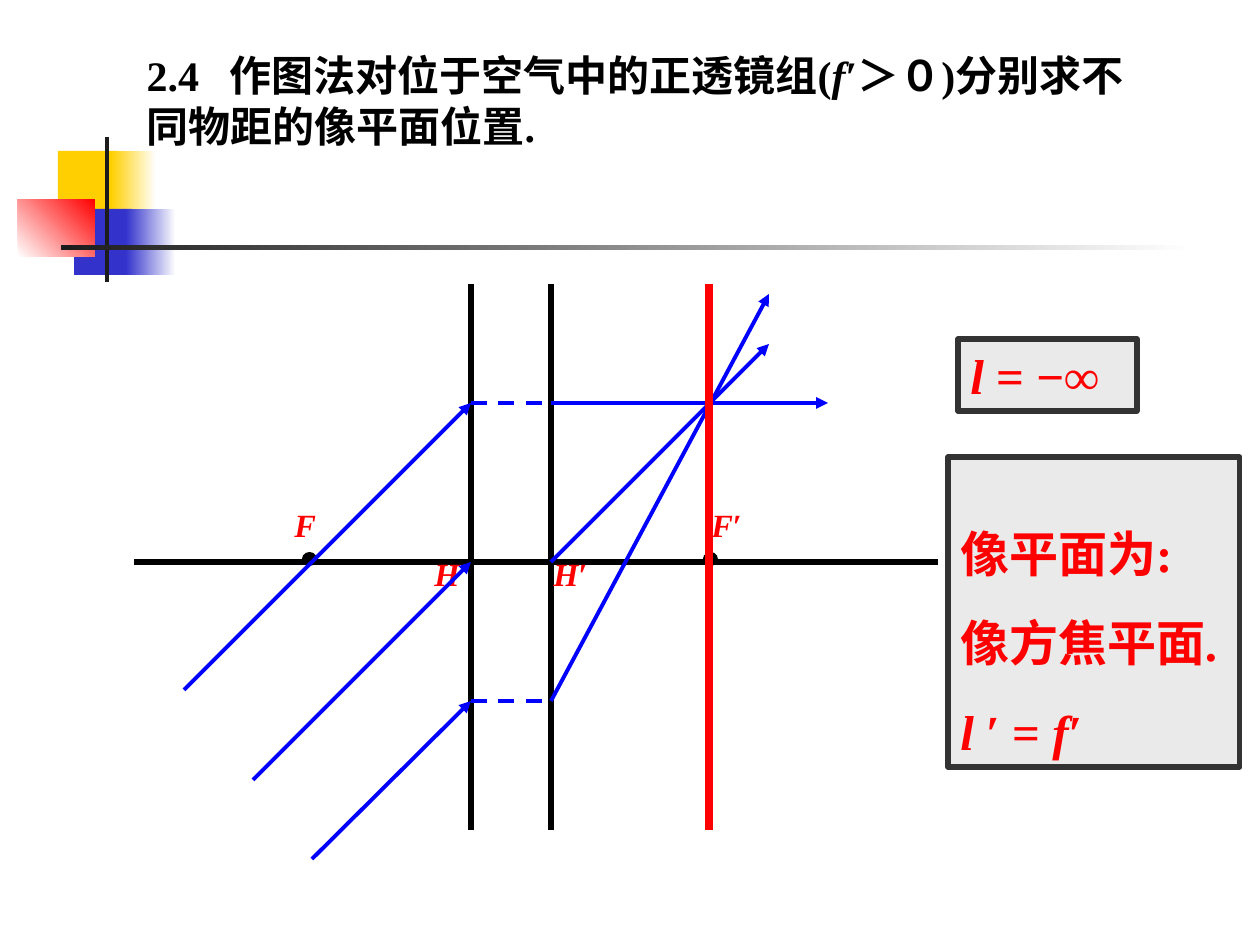
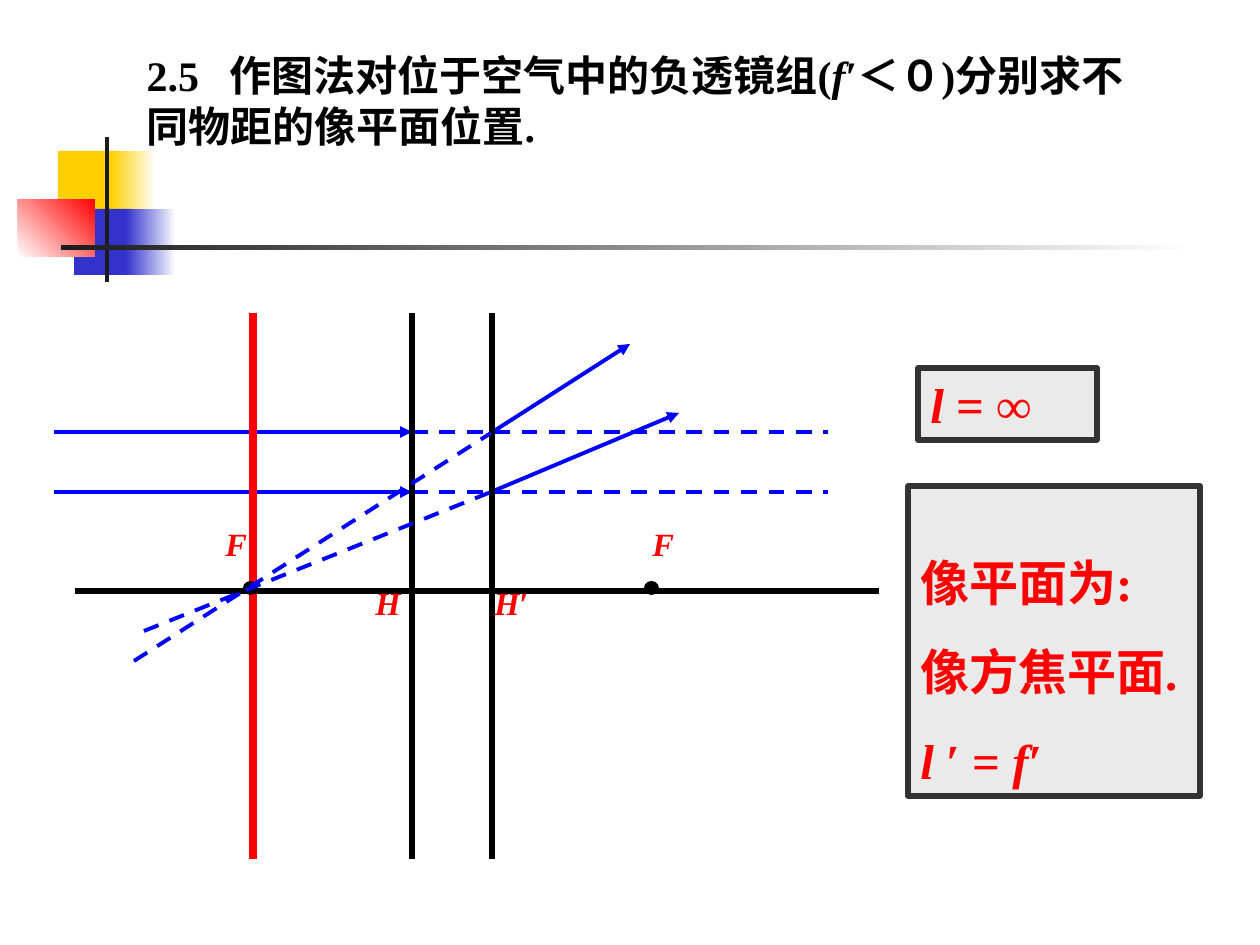
from lxml.etree import SubElement
from pptx import Presentation
from pptx.dml.color import RGBColor
from pptx.enum.dml import MSO_LINE
from pptx.enum.shapes import MSO_CONNECTOR, MSO_SHAPE
from pptx.enum.text import MSO_ANCHOR, MSO_AUTO_SIZE, PP_ALIGN
from pptx.oxml.ns import qn
from pptx.util import Emu, Inches, Pt

FONT = "Times New Roman"
BLACK, WHITE, RED, BLUE = "000000", "FFFFFF", "FF0000", "0000FF"
GOLD, INDIGO, INK = "FFCF01", "3333CC", "1C1C1C"
PANEL, PANEL_EDGE = "EAEAEA", "333333"

# left, top, width, height, colours (two make a gradient), gradient angle
DECORATION = [
    (58, 151, 60, 66, (GOLD,), 0),
    (111, 151, 45, 66, (GOLD, WHITE), 0),
    (74, 209, 58, 66, (INDIGO,), 0),
    (126, 209, 50, 66, (INDIGO, WHITE), 0),
    (18, 199, 77, 58, (WHITE, RED), 45),
    (105, 137, 4, 145, (INK,), 0),
    (61, 245, 1134, 5, (INK, WHITE), 0),
]
TITLE_AREA = (134, 44, 1022, 113)
TITLE_TAB = 83

# Lens system; each slide shifts it by its "lens shift"
AXIS_Y, AXIS_ENDS = 562, (134, 938)
PRINCIPAL_PLANES, PLANE_ENDS = (471, 551), (284, 830)
FOCI, FOCUS_TOP, FOCUS_SIZE = (302, 703), 552, (15, 14)
PLANE_LABELS = [([("H", True)], 422, 552, 32),
                ([("H", True), ("′", False)], 541, 552, 97)]
LABEL_HEIGHT = 54

OBJECT_PANEL = (958, 339, 179, 72)
IMAGE_PANEL = (948, 457, 292, 310)

# Text is a list of (words, italic) runs
IMAGE_TEXT = [
    [("像平面为:", False)],
    [("像方焦平面.", False)],
    [("l ", True), ("′ = ", False), ("f", True), ("′", False)],
]
SOLID, DASHED = "solid", "dashed"
SLIDES = [
    {
        "title": [("2.4\t作图法对位于空气中的正透镜组(", False), ("f", True),
                  ("′＞０)分别求不同物距的像平面位置.", False)],
        "object": [("l ", True), ("= −∞", False)],
        "lens shift": (0, 0),
        "panel shift": (0, 0),
        "focus labels": [([("F", True)], 282, 503, 32),
                         ([("F", True), ("′", False)], 699, 503, 120)],
        "focal plane": 709,
        "rays": [
            (SOLID, 184, 690, 471, 403),
            (SOLID, 253, 780, 471, 562),
            (SOLID, 312, 859, 471, 701),
            (DASHED, 471, 701, 551, 701),
            (DASHED, 471, 403, 551, 403),
            (SOLID, 551, 403, 828, 403),
            (SOLID, 551, 562, 769, 344),
            (SOLID, 551, 701, 769, 294),
        ],
        "virtual rays": [],
        "order": ("lens", "rays", "focal plane"),
    },
    {
        "title": [("2.5\t作图法对位于空气中的负透镜组(", False), ("f", True),
                  ("′＜０)分别求不同物距的像平面位置.", False)],
        "object": [("l ", True), ("= ∞", False)],
        "lens shift": (-59, 29),
        "panel shift": (-40, 29),
        "focus labels": [([("F", True)], 640, 522, 32),
                         ([("F", True), ("′", False)], 213, 522, 120)],
        "focal plane": 253,
        "rays": [
            (SOLID, 54, 432, 412, 432),
            (SOLID, 54, 492, 412, 492),
            (DASHED, 412, 432, 828, 432),
            (DASHED, 412, 492, 828, 492),
            (SOLID, 491, 433, 630, 344),
            (SOLID, 491, 492, 679, 413),
        ],
        "virtual rays": [
            (DASHED, 134, 661, 491, 433),
            (DASHED, 144, 631, 491, 492),
        ],
        "order": ("rays", "focal plane", "lens", "virtual rays"),
    },
]


def px(*lengths):
    """Turn pixels (126 to the inch) into EMU."""
    return [Emu(round(length * 914400 / 126)) for length in lengths]


def rgb(colour):
    return RGBColor.from_string(colour)


def write(paragraph, runs, size, colour):
    for words, italic in runs:
        run = paragraph.add_run()
        run.text = words
        font = run.font
        font.name, font.size = FONT, Pt(size)
        font.bold, font.italic = True, italic
        font.color.rgb = rgb(colour)


def add_filled(slide, preset, area, colours, angle=0):
    shape = slide.shapes.add_shape(preset, *px(*area))
    shape.shadow.inherit = False
    shape.line.fill.background()
    if len(colours) == 1:
        shape.fill.solid()
        shape.fill.fore_color.rgb = rgb(colours[0])
    else:
        shape.fill.gradient()
        shape.fill.gradient_angle = angle
        for stop, colour in zip(shape.fill.gradient_stops, colours):
            stop.color.rgb = rgb(colour)
    return shape


def add_line(slide, ends, colour, width, dashed=False, arrow=False):
    connector = slide.shapes.add_connector(MSO_CONNECTOR.STRAIGHT, *px(*ends))
    connector.line.color.rgb = rgb(colour)
    connector.line.width = Pt(width)
    if dashed:
        connector.line.dash_style = MSO_LINE.DASH
    properties = connector.element.spPr
    if arrow:
        SubElement(properties.find(qn("a:ln")), qn("a:tailEnd"), type="triangle")
    SubElement(properties, qn("a:effectLst"))


def add_label(slide, runs, left, top, width):
    label = slide.shapes.add_textbox(*px(left, top, width, LABEL_HEIGHT))
    label.text_frame.word_wrap = True
    paragraph = label.text_frame.paragraphs[0]
    paragraph.alignment = PP_ALIGN.JUSTIFY
    paragraph.line_spacing = 0.9
    write(paragraph, runs, 18.5, RED)


def add_panel(slide, area, shift, paragraphs):
    left, top, width, height = area
    panel = add_filled(slide, MSO_SHAPE.RECTANGLE,
                       (left + shift[0], top + shift[1], width, height), (PANEL,))
    panel.line.color.rgb = rgb(PANEL_EDGE)
    panel.line.width = Pt(3)
    frame = panel.text_frame
    frame.word_wrap = True
    frame.vertical_anchor = MSO_ANCHOR.BOTTOM
    for index, runs in enumerate(paragraphs):
        paragraph = frame.add_paragraph() if index else frame.paragraphs[0]
        paragraph.alignment = PP_ALIGN.LEFT
        if index:
            paragraph.space_before = Pt(17.5)
        write(paragraph, runs, 28, RED)


def set_title(slide, runs):
    title = slide.shapes.title
    title.left, title.top, title.width, title.height = px(*TITLE_AREA)
    frame = title.text_frame
    frame.word_wrap = True
    frame.auto_size = MSO_AUTO_SIZE.NONE
    frame.vertical_anchor = MSO_ANCHOR.BOTTOM
    paragraph = frame.paragraphs[0]
    paragraph.alignment = PP_ALIGN.LEFT
    tabs = SubElement(paragraph._p.get_or_add_pPr(), qn("a:tabLst"))
    SubElement(tabs, qn("a:tab"), pos=str(px(TITLE_TAB)[0]), algn="l")
    write(paragraph, runs, 24, BLACK)


def draw_lens(slide, content):
    dx, dy = content["lens shift"]
    start, end = AXIS_ENDS
    add_line(slide, (start + dx, AXIS_Y + dy, end + dx, AXIS_Y + dy), BLACK, 3)
    top, bottom = PLANE_ENDS
    for x in PRINCIPAL_PLANES:
        add_line(slide, (x + dx, top + dy, x + dx, bottom + dy), BLACK, 3)
    for x in FOCI:
        add_filled(slide, MSO_SHAPE.OVAL,
                   (x + dx, FOCUS_TOP + dy, *FOCUS_SIZE), (BLACK,))
    for runs, left, label_top, width in PLANE_LABELS:
        add_label(slide, runs, left + dx, label_top + dy, width)
    for label in content["focus labels"]:
        add_label(slide, *label)


def draw_rays(slide, rays):
    for style, *ends in rays:
        add_line(slide, ends, BLUE, 2.25, style == DASHED, style == SOLID)


def draw_focal_plane(slide, content):
    x, dy = content["focal plane"], content["lens shift"][1]
    top, bottom = PLANE_ENDS
    add_line(slide, (x, top + dy, x, bottom + dy), RED, 4.5)


def decorate(layout, slide):
    """Draw the decoration on the slide, then move it behind the layout's parts."""
    for position, (*area, colours, angle) in enumerate(DECORATION, start=2):
        block = add_filled(slide, MSO_SHAPE.RECTANGLE, area, colours, angle)
        layout.shapes.element.insert(position, block.element)


def main():
    deck = Presentation()
    deck.slide_width, deck.slide_height = Inches(10), Inches(7.5)
    title_only = deck.slide_layouts[5]
    for number, content in enumerate(SLIDES):
        slide = deck.slides.add_slide(title_only)
        if number == 0:
            decorate(title_only, slide)
        set_title(slide, content["title"])
        for part in content["order"]:
            if part == "lens":
                draw_lens(slide, content)
            elif part == "focal plane":
                draw_focal_plane(slide, content)
            else:
                draw_rays(slide, content[part])
        add_panel(slide, OBJECT_PANEL, content["panel shift"], [content["object"]])
        add_panel(slide, IMAGE_PANEL, content["panel shift"], IMAGE_TEXT)
    deck.save("out.pptx")


if __name__ == "__main__":
    main()
